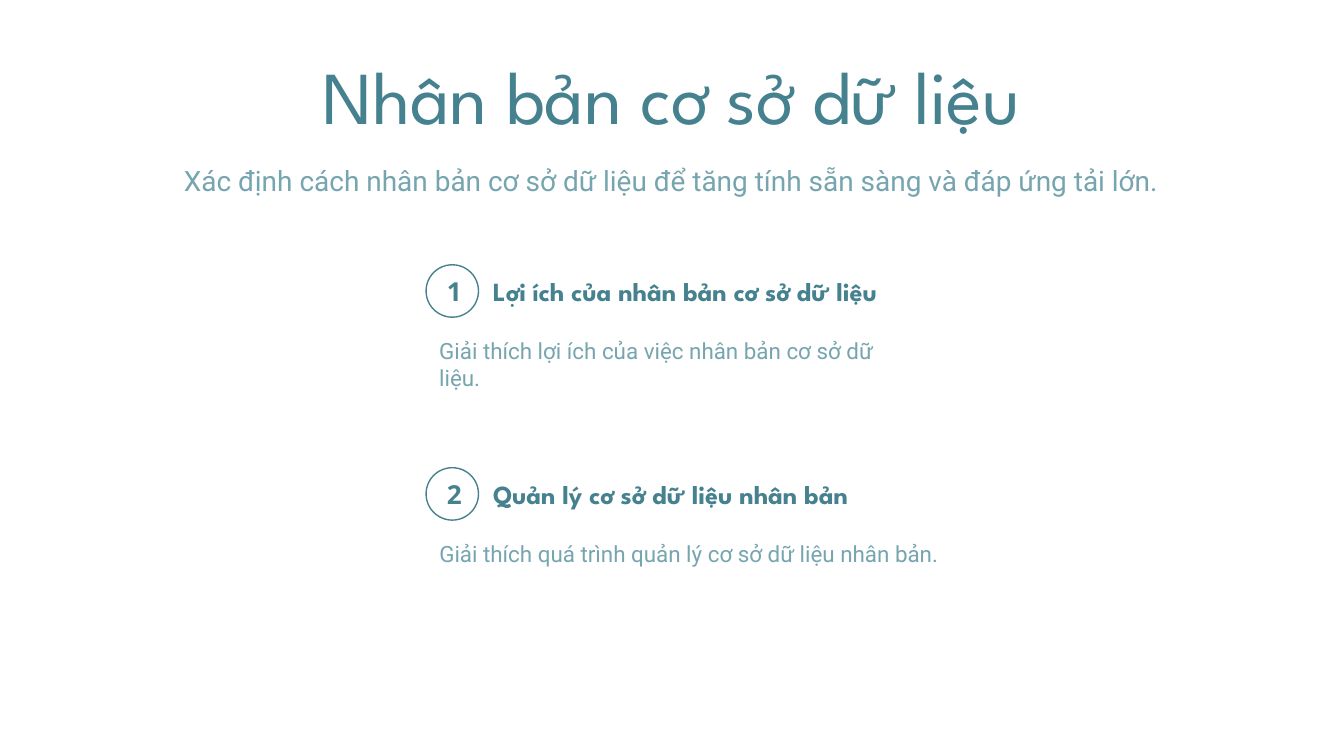
from dataclasses import dataclass

from pptx import Presentation
from pptx.dml.color import RGBColor
from pptx.enum.shapes import MSO_SHAPE
from pptx.enum.text import MSO_ANCHOR, MSO_AUTO_SIZE, PP_ALIGN
from pptx.shapes.autoshape import Shape
from pptx.slide import Slide
from pptx.util import Inches, Pt

TOP, MIDDLE, BOTTOM = MSO_ANCHOR.TOP, MSO_ANCHOR.MIDDLE, MSO_ANCHOR.BOTTOM
LEFT, CENTER = PP_ALIGN.LEFT, PP_ALIGN.CENTER
NO_AUTOFIT = MSO_AUTO_SIZE.NONE
OVAL = MSO_SHAPE.OVAL

DARK_TEAL = "45818E"
LIGHT_TEAL = "76A5AF"
HEADING_FONT = "League Spartan"
BODY_FONT = "Roboto"
NUMBER_FONT = "Noto Sans"

SLIDE_WIDTH = 10
SLIDE_HEIGHT = SLIDE_WIDTH * 9 / 16
ITEM_LEFT = 3.17
FIRST_ITEM_TOP = 1.96
ITEM_STEP = 1.51
BADGE_SIZE = 0.39


@dataclass(frozen=True)
class TextStyle:
    font: str
    size: float
    color: str
    bold: bool = False
    align: PP_ALIGN = LEFT
    anchor: MSO_ANCHOR = TOP


@dataclass(frozen=True)
class Item:
    heading: str
    heading_width: float
    description: str
    description_width: float


TITLE = TextStyle(HEADING_FONT, 40, DARK_TEAL, align=CENTER, anchor=BOTTOM)
SUBTITLE = TextStyle(BODY_FONT, 15, LIGHT_TEAL, align=CENTER)
HEADING = TextStyle(HEADING_FONT, 14, DARK_TEAL, bold=True, anchor=MIDDLE)
DESCRIPTION = TextStyle(BODY_FONT, 12, LIGHT_TEAL)
NUMBER = TextStyle(NUMBER_FONT, 14, DARK_TEAL, bold=True, align=CENTER, anchor=MIDDLE)

ITEMS = [
    Item("Lợi ích của nhân bản cơ sở dữ liệu", 3.43,
         "Giải thích lợi ích của việc nhân bản cơ sở dữ liệu.", 3.74),
    Item("Quản lý cơ sở dữ liệu nhân bản", 3.92,
         "Giải thích quá trình quản lý cơ sở dữ liệu nhân bản.", 4.08),
]


def rgb(color: str) -> RGBColor:
    return RGBColor.from_string(color)


def write_text(shape: Shape, text: str, style: TextStyle) -> None:
    frame = shape.text_frame
    frame.word_wrap = True
    frame.auto_size = NO_AUTOFIT
    frame.vertical_anchor = style.anchor
    frame.margin_left = frame.margin_right = Inches(0.1)
    frame.margin_top = frame.margin_bottom = Inches(0.1)
    frame.text = text
    paragraph = frame.paragraphs[0]
    paragraph.alignment = style.align
    paragraph.space_before = Pt(0)
    paragraph.font.name = style.font
    paragraph.font.size = Pt(style.size)
    paragraph.font.bold = style.bold
    paragraph.font.color.rgb = rgb(style.color)


def fill_placeholder(shape: Shape, top: float, height: float, text: str, style: TextStyle) -> None:
    shape.left, shape.top = Inches(0.56), Inches(top)
    shape.width, shape.height = Inches(8.87), Inches(height)
    write_text(shape, text, style)


def add_text(slide: Slide, left: float, top: float, width: float, height: float,
             text: str, style: TextStyle) -> None:
    box = slide.shapes.add_textbox(Inches(left), Inches(top), Inches(width), Inches(height))
    write_text(box, text, style)


def add_badge(slide: Slide, top: float, number: int) -> None:
    badge = slide.shapes.add_shape(
        OVAL, Inches(ITEM_LEFT), Inches(top), Inches(BADGE_SIZE), Inches(BADGE_SIZE))
    badge.shadow.inherit = False
    badge.fill.background()
    badge.line.color.rgb = rgb(DARK_TEAL)
    badge.line.width = Pt(0.75)
    write_text(badge, str(number), NUMBER)


def add_item(slide: Slide, number: int, item: Item) -> None:
    top = FIRST_ITEM_TOP + (number - 1) * ITEM_STEP
    add_text(slide, ITEM_LEFT, top + 0.45, item.description_width, 0.81,
             item.description, DESCRIPTION)
    add_text(slide, ITEM_LEFT + 0.4, top, item.heading_width, 0.41, item.heading, HEADING)
    add_badge(slide, top + 0.01, number)


def main() -> None:
    presentation = Presentation()
    presentation.slide_width = Inches(SLIDE_WIDTH)
    presentation.slide_height = Inches(SLIDE_HEIGHT)
    slide = presentation.slides.add_slide(presentation.slide_layouts[0])
    fill_placeholder(slide.shapes.title, 0.16, 0.98, "Nhân bản cơ sở dữ liệu", TITLE)
    fill_placeholder(
        slide.placeholders[1], 1.12, 0.44,
        "Xác định cách nhân bản cơ sở dữ liệu để tăng tính sẵn sàng và đáp ứng tải lớn.",
        SUBTITLE)
    for number, item in enumerate(ITEMS, start=1):
        add_item(slide, number, item)
    presentation.save("out.pptx")


if __name__ == "__main__":
    main()
